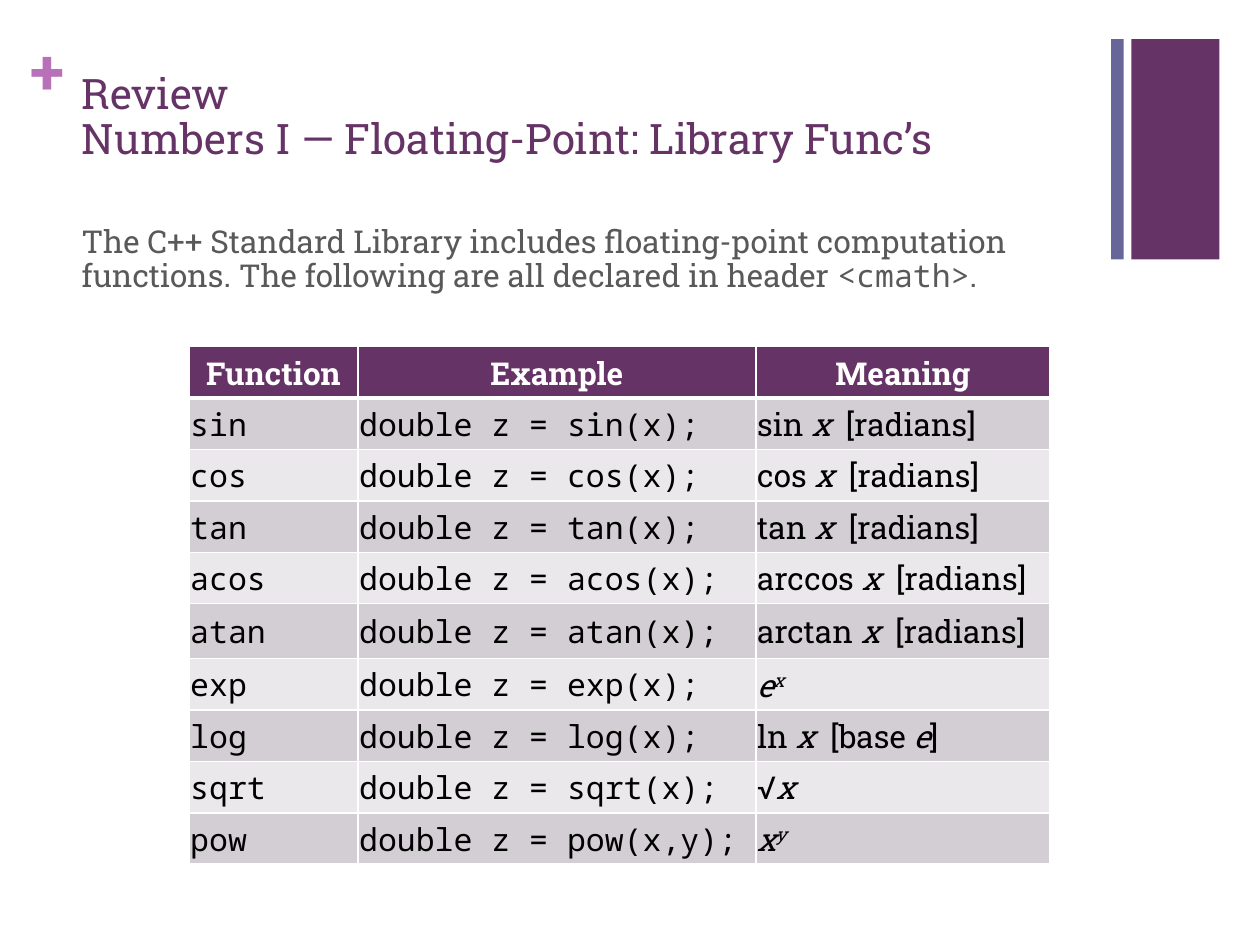
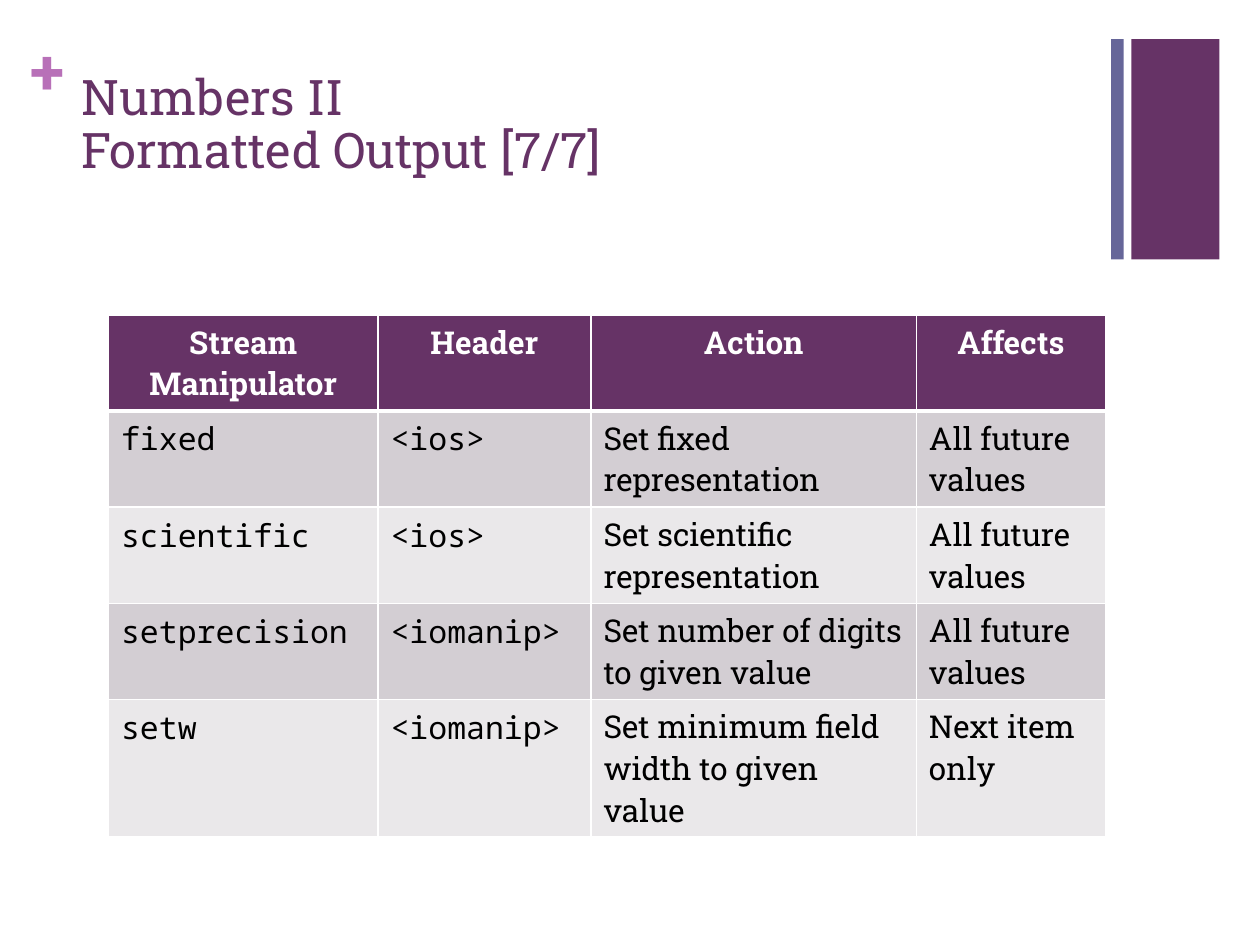
from copy import deepcopy
from dataclasses import dataclass

from lxml import etree
from pptx import Presentation
from pptx.dml.color import RGBColor
from pptx.enum import shapes, text
from pptx.oxml.ns import qn
from pptx.util import Pt

PURPLE = RGBColor(0x66, 0x33, 0x66)
SLATE = RGBColor(0x66, 0x66, 0x99)
ORCHID = RGBColor(0xB8, 0x70, 0xB8)
GRAY = RGBColor(0x59, 0x59, 0x59)
BLACK = RGBColor(0, 0, 0)
WHITE = RGBColor(0xFF, 0xFF, 0xFF)
ROW_FILLS = (RGBColor(0xD3, 0xCE, 0xD3), RGBColor(0xEA, 0xE8, 0xEA))
SLAB = "Roboto Slab"
MONO = "Noto Sans Mono"
LEFT, CENTER = text.PP_ALIGN.LEFT, text.PP_ALIGN.CENTER
TOP, MIDDLE = text.MSO_ANCHOR.TOP, text.MSO_ANCHOR.MIDDLE


@dataclass(frozen=True)
class Box:
    left: float
    top: float
    width: float
    height: float

    def lengths(self) -> tuple:
        return tuple(Pt(v) for v in (self.left, self.top, self.width, self.height))


@dataclass(frozen=True)
class Part:
    text: str
    font: str = SLAB
    italic: bool = False
    raised: bool = False


@dataclass(frozen=True)
class Band:
    box: Box
    color: RGBColor


@dataclass(frozen=True)
class Grid:
    box: Box
    columns: tuple
    heights: tuple
    header: tuple
    rows: tuple
    margins: tuple
    anchor: text.MSO_ANCHOR


BANDS = (
    Band(Box(646.5, 22.3, 50.4, 126), PURPLE),
    Band(Box(635, 22.3, 7.2, 126), SLATE),
)
PLUS_BOX = Box(17.3, 18, 20.9, 43.9)
TITLE_BOX = Box(39.6, 38.2, 594.7, 75.6)
INTRO_BOX = Box(39.6, 126, 594.7, 372.2)
INSETS = (7.2, 3.6, 7.2, 3.6)


def write(frame, content, *, size: float = 18, color: RGBColor = BLACK, bold: bool = False,
          align=LEFT, spacing: float = 1.0) -> None:
    parts = (Part(content),) if isinstance(content, str) else content
    paragraph = frame.paragraphs[0]
    paragraph.alignment = align
    paragraph.line_spacing = spacing
    for part in parts:
        for index, line in enumerate(part.text.split("\n")):
            if index:
                paragraph.add_line_break()
                paragraph._p[-1].append(deepcopy(run._r.rPr))
            run = paragraph.add_run()
            run.text = line
            font = run.font
            font.name, font.size, font.bold = part.font, Pt(size), bold
            font.italic = part.italic
            font.color.rgb = color
            if part.raised:
                run._r.rPr.set("baseline", "30000")


def prepare(frame, insets: tuple = INSETS) -> None:
    frame.word_wrap = True
    frame.auto_size = text.MSO_AUTO_SIZE.NONE
    frame.vertical_anchor = TOP
    (frame.margin_left, frame.margin_top,
     frame.margin_right, frame.margin_bottom) = map(Pt, insets)


def add_text(slide, box: Box, content, insets: tuple = INSETS, **style) -> None:
    frame = slide.shapes.add_textbox(*box.lengths()).text_frame
    prepare(frame, insets)
    write(frame, content, **style)


def add_band(slide, band: Band) -> None:
    bar = slide.shapes.add_shape(shapes.MSO_SHAPE.RECTANGLE, *band.box.lengths())
    bar.shadow.inherit = False
    bar.fill.solid()
    bar.fill.fore_color.rgb = band.color
    bar.line.fill.background()


def add_topic(deck, heading: str, size: float):
    slide = deck.slides.add_slide(deck.slide_layouts[5])
    for band in BANDS:
        add_band(slide, band)
    add_text(slide, PLUS_BOX, "+", insets=(0, 0, 0, 0), size=36, color=ORCHID, bold=True)
    title = slide.shapes.title
    title.left, title.top, title.width, title.height = TITLE_BOX.lengths()
    prepare(title.text_frame)
    write(title.text_frame, heading, size=size, color=PURPLE, spacing=0.9)
    return slide


def set_borders(cell, widths: dict) -> None:
    properties = cell._tc.get_or_add_tcPr()
    for side, width in widths.items():
        line = etree.SubElement(properties, qn(f"a:ln{side}"), w=str(Pt(width)))
        fill = etree.SubElement(line, qn("a:solidFill"))
        etree.SubElement(fill, qn("a:srgbClr"), val=str(WHITE))


def add_grid(slide, grid: Grid) -> None:
    lines = (grid.header,) + grid.rows
    table = slide.shapes.add_table(len(lines), len(grid.columns), *grid.box.lengths()).table
    for column, width in zip(table.columns, grid.columns):
        column.width = Pt(width)
    for r, (line, height) in enumerate(zip(lines, grid.heights)):
        table.rows[r].height = Pt(height)
        for c, content in enumerate(line):
            cell = table.cell(r, c)
            (cell.margin_left, cell.margin_top,
             cell.margin_right, cell.margin_bottom) = map(Pt, grid.margins)
            cell.vertical_anchor = grid.anchor
            set_borders(cell, {"L": 1, "R": 1, "T": 3 if r == 1 else 1, "B": 1 if r else 3})
            cell.fill.solid()
            cell.fill.fore_color.rgb = ROW_FILLS[(r - 1) % 2] if r else PURPLE
            if r:
                write(cell.text_frame, content)
            else:
                write(cell.text_frame, content, color=WHITE, bold=True, align=CENTER)


def code(content: str) -> tuple:
    return (Part(content, MONO),)


def var(name: str, raised: bool = False) -> Part:
    return Part(name, italic=True, raised=raised)


def function_row(name: str, meaning: tuple, arguments: str = "x") -> tuple:
    return code(name), code(f"double z = {name}({arguments});"), meaning


def trig_row(name: str, label: str) -> tuple:
    return function_row(name, (Part(f"{label} "), var("x"), Part("  [radians]")))


def manipulator_row(name: str, header: str, action: str,
                    affects: str = "All future values") -> tuple:
    return code(name), code(header), action, affects


FUNCTIONS = Grid(
    box=Box(108, 198, 491.8, 295.9),
    columns=(96.5, 227.5, 167.8),
    heights=(29.4,) * 5 + (31.3,) + (29.4,) * 4,
    header=("Function", "Example", "Meaning"),
    rows=(
        trig_row("sin", "sin"),
        trig_row("cos", "cos"),
        trig_row("tan", "tan"),
        trig_row("acos", "arccos"),
        trig_row("atan", "arctan"),
        function_row("exp", (var("e"), var("x", raised=True))),
        function_row("log", (Part("ln "), var("x  "), Part("[base "), var("e"), Part("]"))),
        function_row("sqrt", (Part("√"), var("x"))),
        function_row("pow", (var("x"), var("y", raised=True)), "x,y"),
    ),
    margins=(0.72, 0.72, 0.72, 0),
    anchor=MIDDLE,
)

MANIPULATORS = Grid(
    box=Box(62, 180, 569.8, 297),
    columns=(154, 121.7, 186, 108.1),
    heights=(54, 55, 55, 55, 78),
    header=("Stream\nManipulator", "Header", "Action", "Affects"),
    rows=(
        manipulator_row("fixed", "<ios>", "Set fixed representation"),
        manipulator_row("scientific", "<ios>", "Set scientific representation"),
        manipulator_row("setprecision", "<iomanip>", "Set number of digits to given value"),
        manipulator_row("setw", "<iomanip>", "Set minimum field width to given value",
                        "Next item only"),
    ),
    margins=INSETS,
    anchor=TOP,
)

INTRO = (
    Part("The C++ Standard Library includes floating-point computation functions. "
         "The following are all declared in header "),
    Part("<cmath>", MONO),
    Part("."),
)


def main() -> None:
    deck = Presentation()
    deck.slide_width, deck.slide_height = Pt(720), Pt(540)

    review = add_topic(deck, "Review\nNumbers I — Floating-Point: Library Func’s", 24)
    add_text(review, INTRO_BOX, INTRO, color=GRAY, spacing=0.9)
    add_grid(review, FUNCTIONS)

    output = add_topic(deck, "Numbers II\nFormatted Output [7/7]", 28)
    add_grid(output, MANIPULATORS)

    deck.save("out.pptx")


if __name__ == "__main__":
    main()
